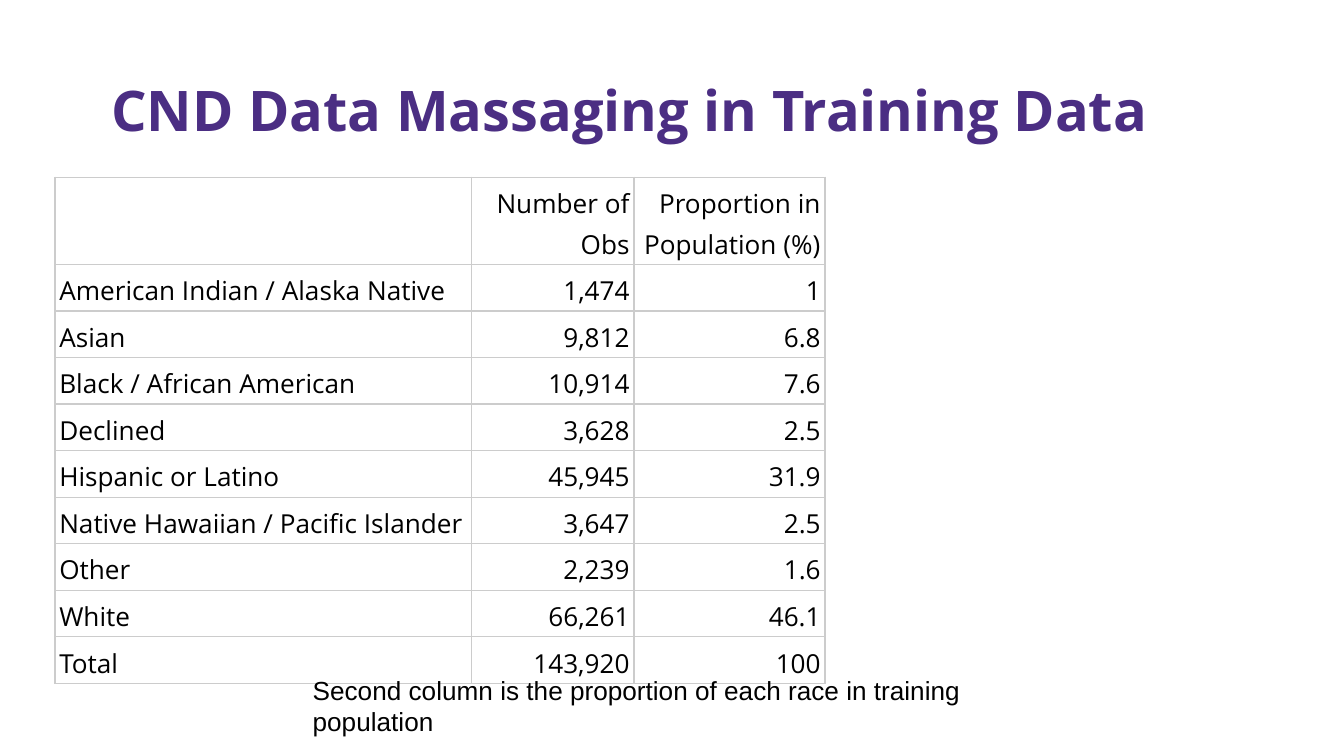
from dataclasses import dataclass

from lxml.etree import SubElement
from pptx import Presentation
from pptx.dml.color import RGBColor
from pptx.enum.text import MSO_ANCHOR as Anchor, MSO_AUTO_SIZE as AutoSize, PP_ALIGN as Align
from pptx.oxml.ns import qn
from pptx.util import Cm, Pt

PURPLE = RGBColor(0x4B, 0x2E, 0x83)
BLACK = RGBColor(0x00, 0x00, 0x00)
BORDER_GRAY = RGBColor(0xCC, 0xCC, 0xCC)

COLUMN_WIDTHS = (Cm(7.87), Cm(3.07), Cm(3.61))
HEADER_HEIGHT = Cm(1.64)
ROW_HEIGHT = Cm(0.88)


@dataclass(frozen=True)
class RaceRow:
    race: str
    observations: str
    proportion: str


ROWS = (
    RaceRow("", "Number of Obs", "Proportion in Population (%)"),
    RaceRow("American Indian / Alaska Native", "1,474", "1"),
    RaceRow("Asian", "9,812", "6.8"),
    RaceRow("Black / African American", "10,914", "7.6"),
    RaceRow("Declined", "3,628", "2.5"),
    RaceRow("Hispanic or Latino", "45,945", "31.9"),
    RaceRow("Native Hawaiian / Pacific Islander", "3,647", "2.5"),
    RaceRow("Other", "2,239", "1.6"),
    RaceRow("White", "66,261", "46.1"),
    RaceRow("Total", "143,920", "100"),
)


def write_text(text_frame, text: str, *, size: float = 14, font: str = "Open Sans",
               color: RGBColor = BLACK, bold: bool = False,
               align: Align = Align.LEFT, spacing: float = 1.0) -> None:
    paragraph = text_frame.paragraphs[0]
    paragraph.alignment = align
    paragraph.line_spacing = spacing
    paragraph.font.size = Pt(size)
    if not text:
        return
    run = paragraph.add_run()
    run.text = text
    run.font.size = Pt(size)
    run.font.name = font
    run.font.bold = bold
    run.font.color.rgb = color


def set_borders(cell) -> None:
    properties = cell._tc.get_or_add_tcPr()
    for position, side in enumerate(("a:lnL", "a:lnR", "a:lnT", "a:lnB")):
        line = SubElement(properties, qn(side), w=str(Pt(0.75)))
        fill = SubElement(line, qn("a:solidFill"))
        SubElement(fill, qn("a:srgbClr"), val=str(BORDER_GRAY))
        properties.insert(position, line)


def add_title(slide) -> None:
    title = slide.shapes.title
    title.left, title.top, title.width, title.height = Cm(1.85), Cm(0.76), Cm(22.73), Cm(2.06)
    title.text_frame.auto_size = AutoSize.NONE
    title.text_frame.vertical_anchor = Anchor.BOTTOM
    write_text(title.text_frame, "CND Data Massaging in Training Data",
               size=30, color=PURPLE, bold=True)


def add_race_table(slide, rows: tuple[RaceRow, ...]) -> None:
    height = HEADER_HEIGHT + ROW_HEIGHT * (len(rows) - 1)
    table = slide.shapes.add_table(len(rows), len(COLUMN_WIDTHS), Cm(1.04), Cm(3.35),
                                   sum(COLUMN_WIDTHS), height).table
    table.first_row = False
    table.horz_banding = False
    for column, width in zip(table.columns, COLUMN_WIDTHS):
        column.width = width
    for row_index, row in enumerate(rows):
        table.rows[row_index].height = ROW_HEIGHT if row_index else HEADER_HEIGHT
        for column_index, text in enumerate((row.race, row.observations, row.proportion)):
            cell = table.cell(row_index, column_index)
            cell.fill.background()
            cell.vertical_anchor = Anchor.BOTTOM
            cell.margin_left = cell.margin_right = Cm(0.08)
            cell.margin_top = cell.margin_bottom = Cm(0.05)
            set_borders(cell)
            write_text(cell.text_frame, text, spacing=1.15,
                       align=Align.RIGHT if column_index else Align.LEFT)


def add_note(slide) -> None:
    text_frame = slide.shapes.add_textbox(Cm(5.66), Cm(12.5), Cm(15), Cm(1.12)).text_frame
    text_frame.word_wrap = True
    text_frame.auto_size = AutoSize.SHAPE_TO_FIT_TEXT
    text_frame.margin_left = text_frame.margin_right = Cm(0.25)
    text_frame.margin_top = text_frame.margin_bottom = Cm(0.25)
    write_text(text_frame, "Second column is the proportion of each race in training population",
               font="Arial")


def main() -> None:
    presentation = Presentation()
    presentation.slide_width = Cm(25.4)
    presentation.slide_height = Cm(14.29)
    slide = presentation.slides.add_slide(presentation.slide_layouts.get_by_name("Title Only"))
    add_title(slide)
    add_race_table(slide, ROWS)
    add_note(slide)
    presentation.save("out.pptx")


if __name__ == "__main__":
    main()
